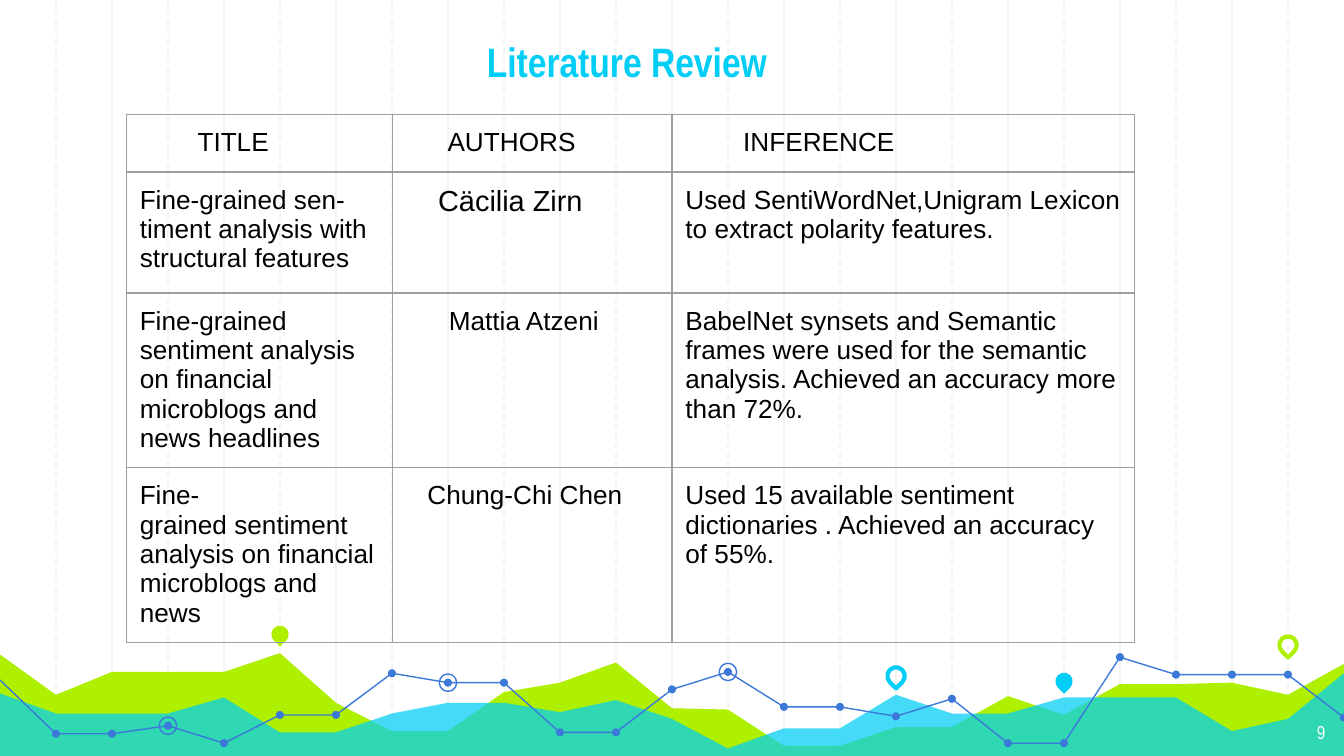
from lxml.etree import SubElement
from pptx import Presentation
from pptx.enum.dml import MSO_LINE
from pptx.enum.shapes import MSO_CONNECTOR, MSO_SHAPE
from pptx.enum.text import MSO_ANCHOR, PP_ALIGN
from pptx.dml.color import RGBColor
from pptx.oxml import parse_xml
from pptx.oxml.ns import nsdecls, qn
from pptx.util import Inches, Pt

LIME, CYAN, BLUE = "AFF000", "00CEF6", "3C78D8"
BLACK, WHITE, GRID, BORDER = "000000", "FFFFFF", "F3F3F3", "9E9E9E"


def paint(fill, color=None):
    """Fill a shape, line or font with a hex colour, or clear it."""
    if color is None:
        fill.background()
    else:
        fill.solid()
        fill.fore_color.rgb = RGBColor.from_string(color)


def write(tf, text, color, align=PP_ALIGN.LEFT, **fmt):
    """Put each line of text in its own paragraph, in one font format."""
    tf.text = text
    for p in tf.paragraphs:
        p.alignment = align
        for r in p.runs:
            paint(r.font.fill, color)
            for name, value in fmt.items():
                setattr(r.font, name, value)


prs = Presentation()
prs.slide_width = Inches(10)
prs.slide_height = prs.slide_width * 9 // 16
s = prs.slides.add_slide(prs.slide_layouts[6])
COLS = 24
col = prs.slide_width / COLS

# Vertical grid: solid on even columns, dashed on odd ones
for i in range(1, COLS):
    x = round(i * col)
    line = s.shapes.add_connector(MSO_CONNECTOR.STRAIGHT, x, 0, x, prs.slide_height)
    SubElement(line._element.spPr, qn("a:effectLst"))
    paint(line.line.fill, GRID)
    line.line.width = Pt(0.75)
    if i % 2:
        line.line.dash_style = MSO_LINE.DASH

# Heights in inches, one per grid column from the left edge to the right
green = [4.87, 5.17, 5, 5, 5, 4.86, 5.23, 5.44, 5.44, 5.15, 5.08, 4.93, 5.27,
         5.28, 5.55, 5.55, 5.41, 5.41, 5.18, 5.32, 5.09, 5.09, 5.08, 5.17, 4.94]
aqua = [5.16, 5.31, 5.31, 5.31, 5.19, 5.45, 5.45, 5.31, 5.23, 5.23, 5.3, 5.21, 5.35,
        5.57, 5.42, 5.42, 5.17, 5.31, 5.31, 5.19, 5.19, 5.19, 5.44, 5.35, 5.01]
trend = [5.06, 5.46, 5.46, 5.4, 5.53, 5.32, 5.32, 5.01, 5.08, 5.08, 5.45, 5.45, 5.13,
         5, 5.26, 5.26, 5.33, 5.2, 5.53, 5.53, 4.89, 5.02, 5.02, 5.02, 5.34]

for heights, fill, stroke in [(green, LIME, None), (aqua, CYAN, None), (trend, None, BLUE)]:
    points = [(i * col, Inches(y)) for i, y in enumerate(heights)]
    if fill:
        points += [(prs.slide_width, prs.slide_height), (0, prs.slide_height)]
    builder = s.shapes.build_freeform(*points[0])
    builder.add_line_segments(points[1:], close=bool(fill))
    shape = builder.convert_to_shape()
    shape.shadow.inherit = False
    paint(shape.fill, fill)
    paint(shape.line.fill, stroke)
    if stroke:
        shape.line.width = Pt(0.75)
    if heights is aqua:
        rgb = shape._element.spPr.find(f".//{qn('a:srgbClr')}")
        SubElement(rgb, qn("a:alpha"), val="73000")

# Markers: kind, column, centre height, size, fill, line, line width
DOT, PIN = MSO_SHAPE.OVAL, MSO_SHAPE.TEAR
markers = [(DOT, i, trend[i], 0.06, BLUE, None, 0) for i in range(1, COLS + 1)]
markers += [(DOT, i, trend[i], 0.13, None, BLUE, 0.75) for i in (3, 8, 13)]
markers += [
    (PIN, 5, 4.72, 0.13, LIME, None, 0),
    (PIN, 16, 5.03, 0.13, None, CYAN, 2.25),
    (PIN, 19, 5.07, 0.13, CYAN, None, 0),
    (PIN, 23, 4.8, 0.13, None, LIME, 2.25),
]
for kind, i, y, size, fill, stroke, width in markers:
    d = Inches(size)
    shape = s.shapes.add_shape(kind, round(i * col - d / 2), round(Inches(y) - d / 2), d, d)
    shape.shadow.inherit = False
    paint(shape.fill, fill)
    paint(shape.line.fill, stroke)
    if stroke:
        shape.line.width = Pt(width)
    if kind == PIN:
        shape.rotation = 135

# Title and slide number
for box, text, color, align, anchor, fmt in [
    ((2.75, 0.23, 3.83, 0.51), "Literature Review", CYAN, PP_ALIGN.CENTER,
     MSO_ANCHOR.BOTTOM, {"size": Pt(22), "bold": True}),
    ((9.36, 5.28, 0.6, 0.35), "9", WHITE, PP_ALIGN.RIGHT, MSO_ANCHOR.TOP, {"size": Pt(10)}),
]:
    tf = s.shapes.add_textbox(*map(Inches, box)).text_frame
    tf.word_wrap = True
    tf.vertical_anchor = anchor
    for side in ("left", "right", "top", "bottom"):
        setattr(tf, f"margin_{side}", Inches(0.1))
    write(tf, text, color, align, name="Arial Narrow", **fmt)

# Table: each cell is its text and its indent in inches
rows = [
    [("TITLE", 0.43), ("AUTHORS", 0.31), ("INFERENCE", 0.43)],
    [("Fine-grained sen-\ntiment analysis with structural features", 0),
     ("Cäcilia Zirn", 0.24),
     ("Used SentiWordNet,Unigram Lexicon to extract polarity features.", 0)],
    [("Fine-grained sentiment analysis\non financial microblogs and news headlines", 0),
     ("Mattia Atzeni", 0.32),
     ("BabelNet synsets and Semantic frames were used for the semantic analysis. "
      "Achieved an accuracy more than 72%.", 0)],
    [("Fine-\ngrained sentiment analysis on financial microblogs and news", 0),
     ("Chung-Chi Chen", 0.16),
     ("Used 15 available sentiment dictionaries . Achieved an accuracy of 55%.", 0)],
]
widths, heights = [1.98, 2.08, 3.44], [0.43, 0.9, 1.3, 1.3]
margins = {"margin_right": 0.1, "margin_top": 0.1, "margin_bottom": 0.02}
table = s.shapes.add_table(len(rows), len(widths), Inches(0.94), Inches(0.85),
                           Inches(sum(widths)), Inches(sum(heights))).table
table.first_row = table.horz_banding = False
for column, width in zip(table.columns, widths):
    column.width = Inches(width)
for row, height, cells in zip(table.rows, heights, rows):
    row.height = Inches(height)
    for cell, (text, indent) in zip(row.cells, cells):
        for name, value in margins.items():
            setattr(cell, name, Inches(value))
        cell.margin_left = Inches(0.1 + indent)
        for edge in "LRTB":
            cell._tc.get_or_add_tcPr().append(parse_xml(
                f'<a:ln{edge} {nsdecls("a")} w="{Pt(0.75)}"><a:solidFill>'
                f'<a:srgbClr val="{BORDER}"/></a:solidFill></a:ln{edge}>'))
        paint(cell.fill)
        size = 15.5 if text == "Cäcilia Zirn" else 14
        write(cell.text_frame, text, BLACK, name="Arial", size=Pt(size))

prs.save("out.pptx")
